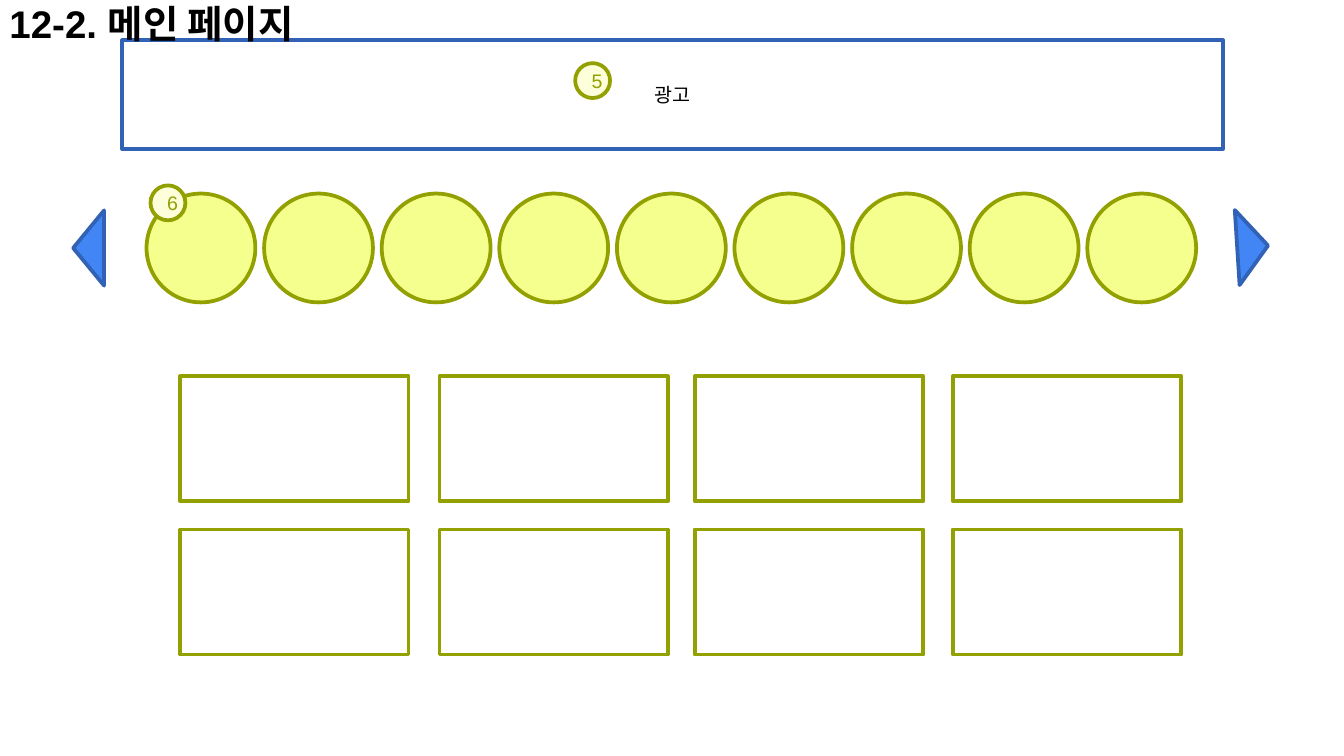
from pptx import Presentation
from pptx.dml.color import RGBColor
from pptx.enum.shapes import MSO_SHAPE
from pptx.enum.text import MSO_ANCHOR, PP_ALIGN
from pptx.util import Inches, Pt

BLACK = RGBColor(0x00, 0x00, 0x00)
BLUE = RGBColor(0x42, 0x85, 0xF4)
DARK_BLUE = RGBColor(0x31, 0x62, 0xB5)
OLIVE = RGBColor(0x92, 0xA0, 0x00)
YELLOW = RGBColor(0xF5, 0xFF, 0x8D)
PALE_YELLOW = RGBColor(0xFC, 0xFF, 0xD9)

# 16:9 page
prs = Presentation()
prs.slide_width = Inches(10)
prs.slide_height = Inches(10 * 9 / 16)
s = prs.slides.add_slide(prs.slide_layouts[6])


def add_box(kind, x, y, w, h, line, fill=None):
    sp = s.shapes.add_shape(kind, Inches(x), Inches(y), Inches(w), Inches(h))
    sp.shadow.inherit = False
    if fill is None:
        sp.fill.background()
    else:
        sp.fill.solid()
        sp.fill.fore_color.rgb = fill
    sp.line.color.rgb = line
    sp.line.width = Pt(2)
    return sp


def set_text(sp, text, size, color, bold=False):
    tf = sp.text_frame
    tf.word_wrap = True
    p = tf.paragraphs[0]
    p.text = text
    r = p.runs[0]
    r.font.name = "Arial"
    r.font.size = Pt(size)
    r.font.bold = bold
    r.font.color.rgb = color
    return p


# Advertisement banner
sp = add_box(MSO_SHAPE.RECTANGLE, 0.91, 0.3, 8.19, 0.81, DARK_BLUE)
p = set_text(sp, "광고", 10.5, BLACK)
p.alignment = PP_ALIGN.CENTER
sp.text_frame.vertical_anchor = MSO_ANCHOR.MIDDLE

# Carousel circles
for i in range(9):
    add_box(MSO_SHAPE.OVAL, 1.09 + i * 7 / 8, 1.44, 0.81, 0.81, OLIVE, YELLOW)

# Carousel arrows
for x, y, angle in [(0.38, 1.73, 270), (9.04, 1.72, 86.3)]:
    sp = add_box(MSO_SHAPE.ISOSCELES_TRIANGLE, x, y, 0.56, 0.23, DARK_BLUE, BLUE)
    sp.rotation = angle

# Content card grid
for y in (2.8, 3.94):
    for x in (1.34, 3.27, 5.17, 7.09):
        add_box(MSO_SHAPE.RECTANGLE, x, y, 1.7, 0.93, OLIVE)

# Numbered badges
for number, x, y in [("5", 4.28, 0.47), ("6", 1.12, 1.38)]:
    sp = add_box(MSO_SHAPE.OVAL, x, y, 0.26, 0.26, OLIVE, PALE_YELLOW)
    p = set_text(sp, number, 10.5, OLIVE)
    p.alignment = PP_ALIGN.CENTER
    sp.text_frame.vertical_anchor = MSO_ANCHOR.MIDDLE

# Page title
sp = s.shapes.add_textbox(0, 0, Inches(6.31), Inches(0.44))
p = set_text(sp, "12-2. 메인 페이지", 20.6, BLACK, bold=True)
p.line_spacing = 0.8
tf = sp.text_frame
tf.margin_left = tf.margin_right = tf.margin_top = tf.margin_bottom = Inches(0.07)

prs.save("out.pptx")
